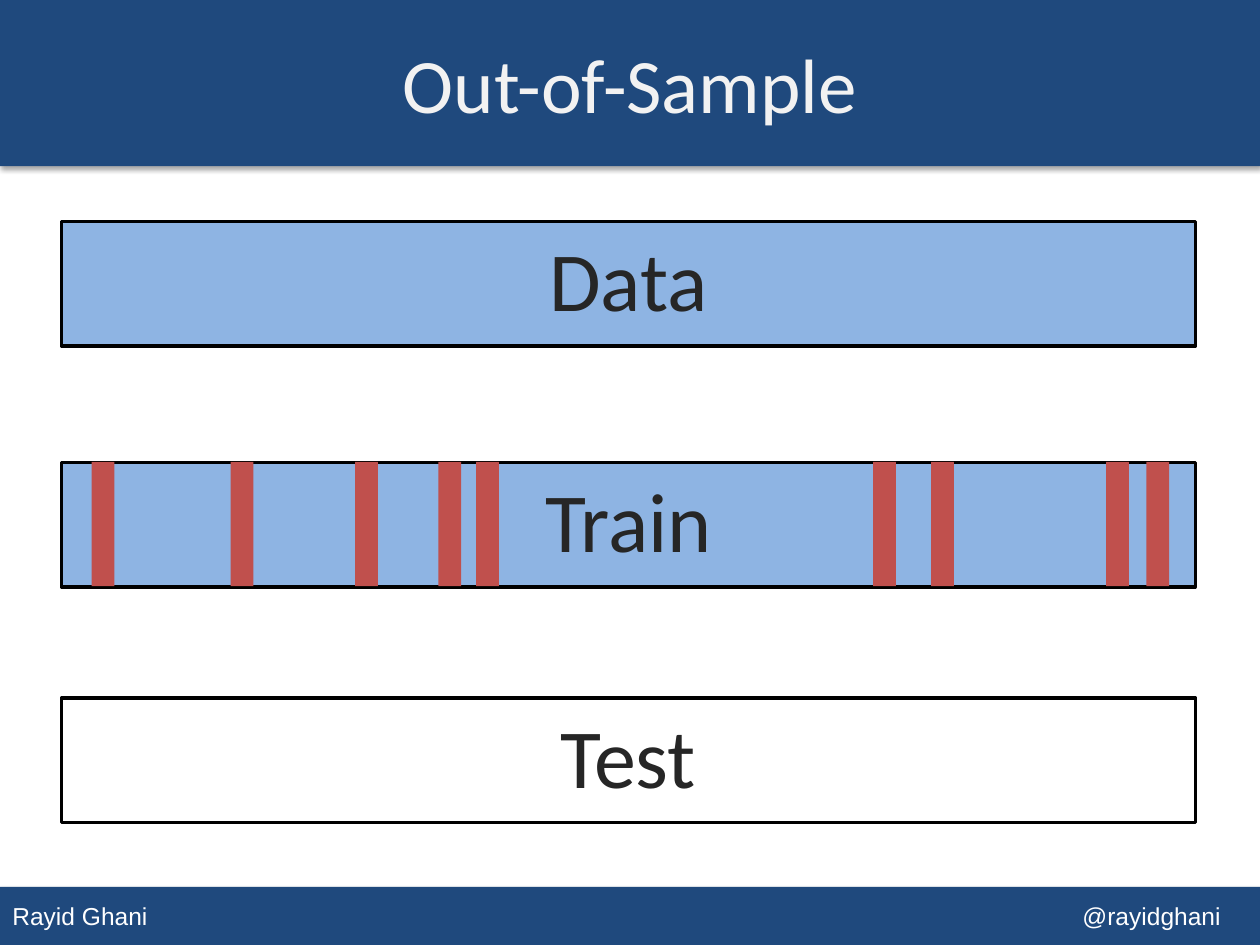
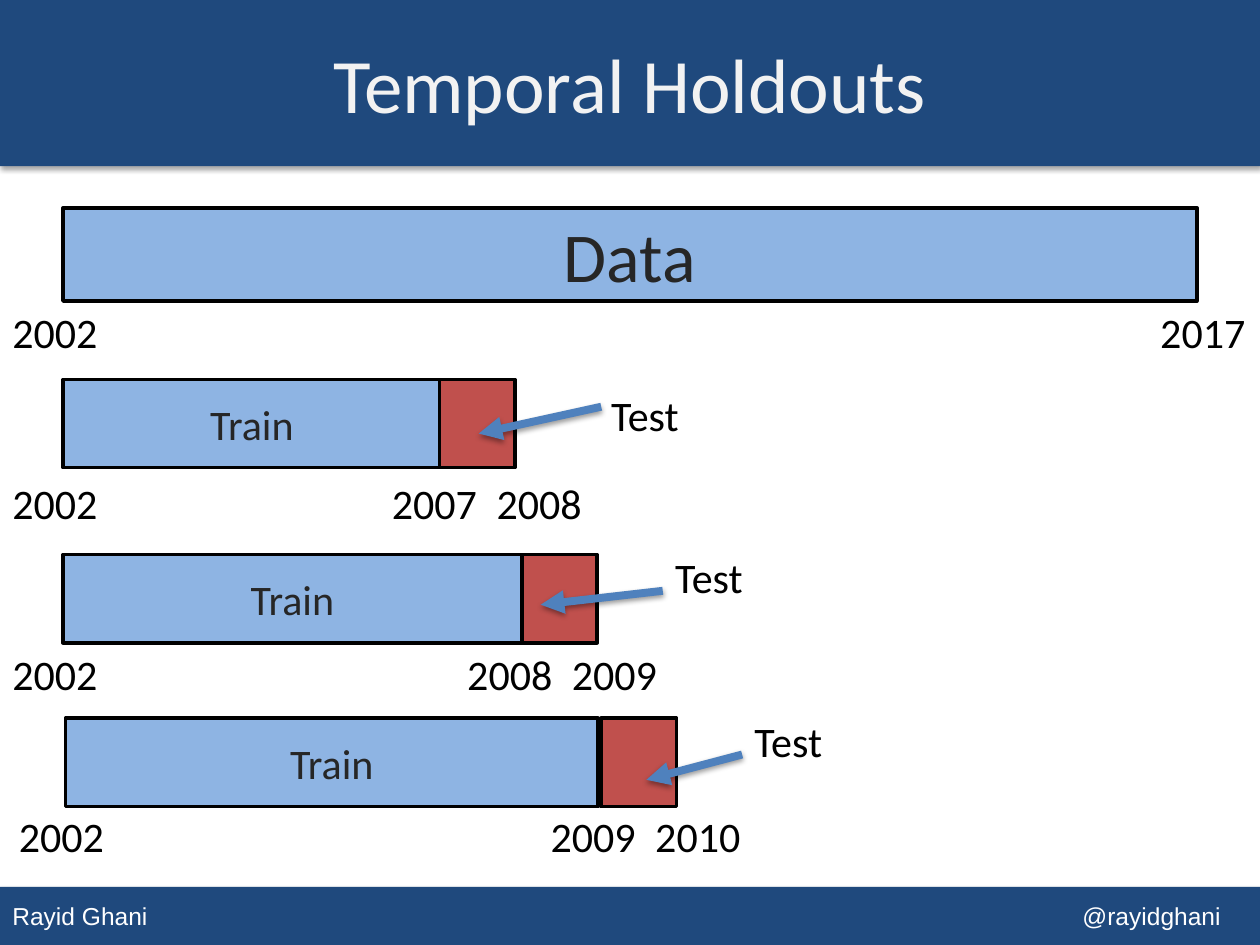
from dataclasses import dataclass

from lxml import etree
from pptx import Presentation
from pptx import util as u
from pptx.dml.color import RGBColor
from pptx.enum import shapes, text
from pptx.oxml.ns import qn

# Shared colours, fonts and sizes (lengths in centimetres)
NAVY, SKY, RED, ARROW_BLUE = "1F497D", "8EB4E3", "C0504D", "4F81BD"
WHITE, BLACK, DARK, TITLE_GREY = "FFFFFF", "000000", "262626", "F2F2F2"
BODY_FONT, FOOTER_FONT = "Calibri", "Arial"
SLIDE_WIDTH, SLIDE_HEIGHT = 25.4, 19.05
BAR_WIDTH = 22.86
LABEL_HEIGHT = 1.27


@dataclass(frozen=True)
class Box:
    left: float
    top: float
    width: float
    height: float

    def lengths(self) -> tuple:
        return tuple(u.Cm(n) for n in (self.left, self.top, self.width, self.height))


@dataclass(frozen=True)
class Holdout:
    train: Box
    test_left: float
    test_label: tuple[float, float]
    arrow: tuple[float, float, float, float]
    years_at: tuple[float, float]
    last_train_year: int
    year_tab: float


SAMPLE_BAR_LEFT, SAMPLE_BAR_HEIGHT = 1.24, 2.51
SAMPLE_BARS = [("Data", 4.47, SKY), ("Train", 9.32, SKY), ("Test", 14.07, WHITE)]
STRIPE_TOP, STRIPE_WIDTH = 9.31, 0.46
STRIPE_LEFTS = [1.85, 4.65, 7.16, 8.84, 9.6, 17.6, 18.77, 22.3, 23.11]

TEST_WIDTH, TRAIN_HEIGHT, YEAR_STEP = 1.52, 1.78, 2.11
HOLDOUTS = [
    Holdout(Box(1.27, 7.65, 7.62, TRAIN_HEIGHT), 8.86, (12.07, 7.72),
            (12.12, 8.2, 9.65, 8.74), (0, 9.5), 2007, 7.65),
    Holdout(Box(1.27, 11.18, 9.25, TRAIN_HEIGHT), 10.52, (13.36, 11),
            (13.36, 11.91, 10.9, 12.19), (0, 12.95), 2008, 9.17),
    Holdout(Box(1.32, 14.48, 10.74, TRAIN_HEIGHT), 12.12, (14.96, 14.3),
            (14.96, 15.21, 13.03, 15.72), (0.13, 16.21), 2009, 10.72),
]


# Formatting helpers
def colour(hex_string: str) -> RGBColor:
    return RGBColor.from_string(hex_string)


def set_shadow(shape, opacity: int = 0, distance: float = 0) -> None:
    """Replace the theme shadow; zero opacity leaves no shadow."""
    properties = shape.element.spPr
    for old in properties.findall(qn("a:effectLst")):
        properties.remove(old)
    effects = etree.SubElement(properties, qn("a:effectLst"))
    if opacity:
        shadow = etree.SubElement(
            effects, qn("a:outerShdw"), blurRad=str(u.Pt(3.1)),
            dist=str(u.Pt(distance)), dir="5400000", rotWithShape="0")
        shade = etree.SubElement(shadow, qn("a:srgbClr"), val=BLACK)
        etree.SubElement(shade, qn("a:alpha"), val=str(opacity * 1000))


def set_tabs(paragraph, stops: list[float], align: str = "l") -> None:
    tabs = etree.SubElement(paragraph._p.get_or_add_pPr(), qn("a:tabLst"))
    for stop in stops:
        etree.SubElement(tabs, qn("a:tab"), pos=str(u.Cm(stop)), algn=align)


def write(shape, words: str, size: int, hex_string: str,
          align=text.PP_ALIGN.CENTER, anchor=text.MSO_ANCHOR.MIDDLE,
          font: str = BODY_FONT):
    frame = shape.text_frame
    frame.text = words
    frame.vertical_anchor = anchor
    paragraph = frame.paragraphs[0]
    paragraph.alignment = align
    for run in paragraph.runs:
        run.font.size = u.Pt(size)
        run.font.name = font
        run.font.color.rgb = colour(hex_string)
    return paragraph


# Drawing helpers
def add_bar(target, box: Box, fill: str, outlined: bool = True):
    bar = target.add_shape(shapes.MSO_SHAPE.RECTANGLE, *box.lengths())
    bar.fill.solid()
    bar.fill.fore_color.rgb = colour(fill)
    if outlined:
        bar.line.color.rgb = colour(BLACK)
        bar.line.width = u.Pt(2)
    else:
        bar.line.fill.background()
    set_shadow(bar)
    return bar


def add_label(target, box: Box, words: str, wrap: bool = True):
    label = target.add_textbox(*box.lengths())
    label.text_frame.word_wrap = wrap
    return write(label, words, 24, BLACK, text.PP_ALIGN.LEFT, text.MSO_ANCHOR.TOP)


def add_years(target, left: float, top: float, years: list[int],
              stops: list[float]) -> None:
    box = Box(left, top, SLIDE_WIDTH, LABEL_HEIGHT)
    set_tabs(add_label(target, box, "\t".join(map(str, years))), stops)


def add_arrow(target, ends: tuple[float, float, float, float]) -> None:
    arrow = target.add_connector(shapes.MSO_CONNECTOR.STRAIGHT, *map(u.Cm, ends))
    arrow.line.color.rgb = colour(ARROW_BLUE)
    arrow.line.width = u.Pt(4.5)
    etree.SubElement(arrow.element.spPr.find(qn("a:ln")), qn("a:tailEnd"),
                     type="triangle")
    set_shadow(arrow, 38, 1.6)


def add_holdout(slide, holdout: Holdout) -> None:
    target = slide.shapes.add_group_shape().shapes
    train = holdout.train
    write(add_bar(target, train, SKY), "Train", 24, DARK)
    add_bar(target, Box(holdout.test_left, train.top, TEST_WIDTH, train.height), RED)
    add_arrow(target, holdout.arrow)
    add_label(target, Box(*holdout.test_label, 1.9, LABEL_HEIGHT), "Test", wrap=False)
    year = holdout.last_train_year
    add_years(target, *holdout.years_at, [2002, year, year + 1],
              [holdout.year_tab, holdout.year_tab + YEAR_STEP])


# Bands shared by all slides, kept on the layout
def move_bands_to_layout(slide) -> None:
    footer = add_bar(slide.shapes, Box(0, 17.88, SLIDE_WIDTH, 1.17), NAVY, False)
    paragraph = write(footer, "Rayid Ghani\t@rayidghani", 14, WHITE,
                      text.PP_ALIGN.LEFT, font=FOOTER_FONT)
    set_tabs(paragraph, [24.36], "r")
    header = add_bar(slide.shapes, Box(0, 0, SLIDE_WIDTH, 3.35), NAVY, False)
    for band in (header, footer):
        set_shadow(band, 35, 1.8)
        slide.slide_layout.shapes.element.insert(2, band.element)


def add_titled_slide(presentation, layout, words: str):
    slide = presentation.slides.add_slide(layout)
    title = slide.shapes.title
    title.left, title.top, title.width, title.height = Box(
        0, 0.08, SLIDE_WIDTH, 3.18).lengths()
    write(title, words, 44, TITLE_GREY)
    return slide


# Slides
def build_out_of_sample(slide) -> None:
    for words, top, fill in SAMPLE_BARS:
        box = Box(SAMPLE_BAR_LEFT, top, BAR_WIDTH, SAMPLE_BAR_HEIGHT)
        write(add_bar(slide.shapes, box, fill), words, 48, DARK,
              anchor=text.MSO_ANCHOR.TOP)
    stripes = slide.shapes.add_group_shape().shapes
    for left in STRIPE_LEFTS:
        add_bar(stripes, Box(left, STRIPE_TOP, STRIPE_WIDTH, SAMPLE_BAR_HEIGHT),
                RED, False)


def build_temporal_holdouts(slide) -> None:
    data = add_bar(slide.shapes, Box(1.27, 4.19, BAR_WIDTH, 1.88), SKY)
    write(data, "Data", 40, DARK)
    add_years(slide.shapes, 0, 6.05, [2002, 2017], [23.14])
    for holdout in HOLDOUTS:
        add_holdout(slide, holdout)


def main() -> None:
    presentation = Presentation()
    presentation.slide_width = u.Cm(SLIDE_WIDTH)
    presentation.slide_height = u.Cm(SLIDE_HEIGHT)
    layout = presentation.slide_layouts.get_by_name("Title Only")
    out_of_sample = add_titled_slide(presentation, layout, "Out-of-Sample")
    move_bands_to_layout(out_of_sample)
    build_out_of_sample(out_of_sample)
    build_temporal_holdouts(
        add_titled_slide(presentation, layout, "Temporal Holdouts"))
    presentation.save("out.pptx")


if __name__ == "__main__":
    main()
